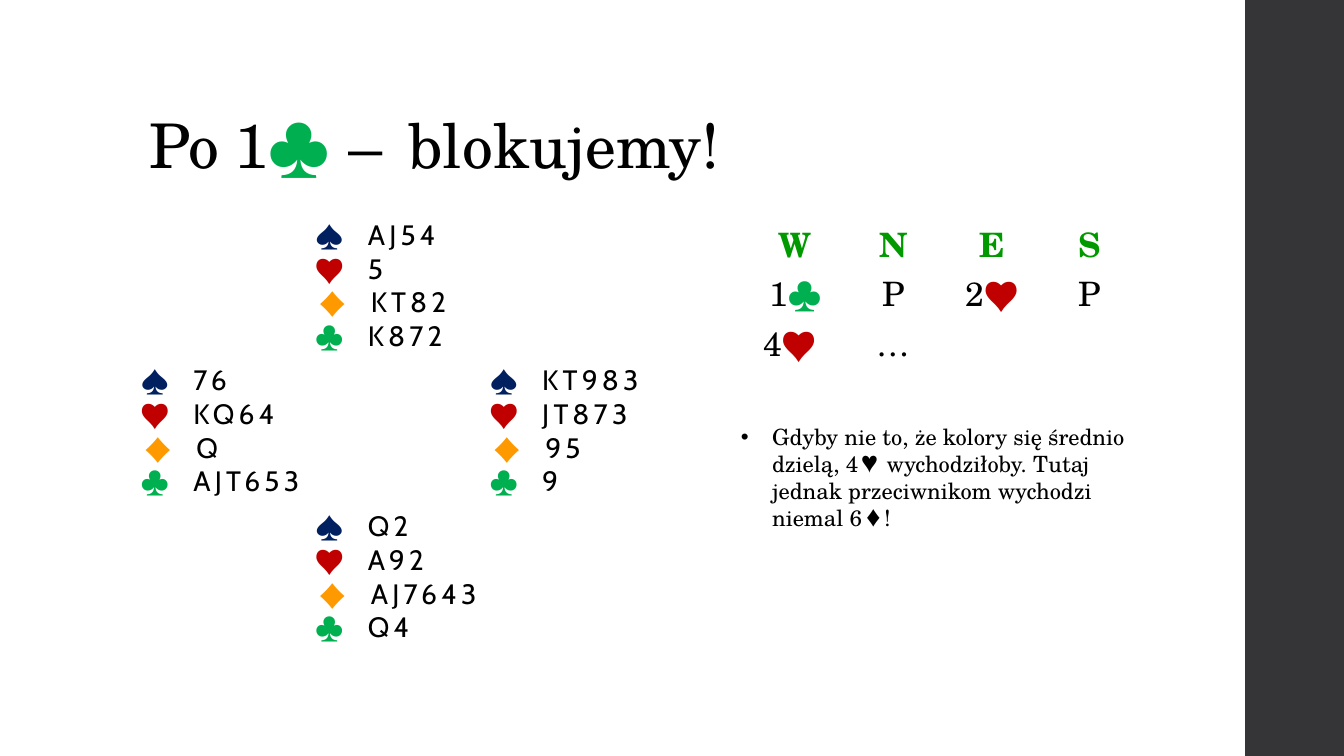
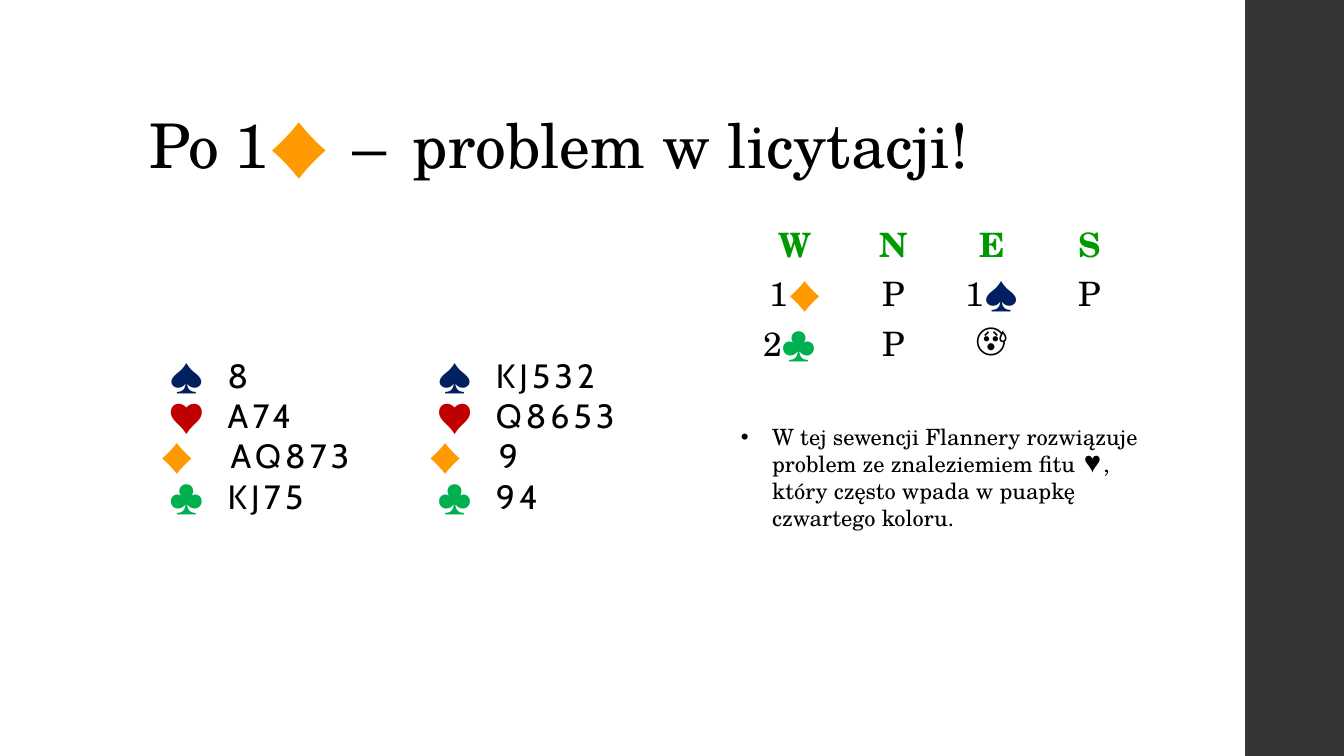
from dataclasses import dataclass
from typing import NamedTuple

from lxml.etree import SubElement
from pptx import Presentation
from pptx.dml.color import RGBColor
from pptx.enum.shapes import MSO_SHAPE
from pptx.enum.text import MSO_ANCHOR, MSO_AUTO_SIZE, PP_ALIGN
from pptx.oxml.ns import qn
from pptx.util import Inches, Pt


@dataclass(frozen=True)
class Theme:
    ink: str = "000000"
    band: str = "353537"
    head: str = "009900"
    serif: str = "TeX Gyre Schola"
    sans: str = "Cabin"
    title: float = 44
    call: float = 24
    note: float = 16
    gap: float = 3


THEME = Theme()
SUITS = {"♠": "002060", "♥": "C00000", "♦": "FF9900", "♣": "00B050"}


class Span(NamedTuple):
    text: str
    face: str = THEME.serif
    hue: str = THEME.ink
    gap: float = 0


class Hand(NamedTuple):
    left: float
    top: float
    cards: tuple[str, ...]


@dataclass(frozen=True)
class Page:
    title: tuple[Span, ...]
    hands: tuple[Hand, ...]
    size: float
    width: float
    calls: tuple[tuple[str, ...], ...]
    note: str
    flush: str = ""  # suit that starts at the left edge


PAGES = (
    Page(
        title=(
            Span("Po 1", gap=-0.5),
            Span("♣", THEME.sans, SUITS["♣"]),
            Span(" ", THEME.sans, SUITS["♣"], THEME.gap),
            Span("– ", gap=THEME.gap),
            Span("blokujemy!"),
        ),
        hands=(
            Hand(2.85, 2.11, ("AJ54", "5", "KT82", "K872")),
            Hand(1.12, 3.55, ("76", "KQ64", "Q", "AJT653")),
            Hand(2.85, 5, ("Q2", "A92", "AJ7643", "Q4")),
            Hand(4.58, 3.55, ("KT983", "JT873", "95", "9")),
        ),
        size=20,
        width=2.2,
        calls=(("1♣", "P", "2♥", "P"), ("4♥ ", "…", "", "")),
        note="Gdyby nie to, że kolory się średnio dzielą, 4♥ wychodziłoby. "
             "Tutaj jednak przeciwnikom wychodzi niemal 6♦!",
    ),
    Page(
        title=(
            Span("Po 1", gap=-0.5),
            Span("♦", THEME.sans, SUITS["♦"], THEME.gap),
            Span(" ", THEME.sans, SUITS["♦"], THEME.gap),
            Span("– ", gap=THEME.gap),
            Span("problem w licytacji!"),
        ),
        hands=(
            Hand(1.46, 3.47, ("8", "A74", "AQ873", "KJ75")),
            Hand(4.12, 3.47, ("KJ532", "Q8653", "9", "94")),
        ),
        size=24,
        width=2.5,
        calls=(("1♦", "P", "1♠", "P"), ("2♣ ", "P", "😰", "")),
        note="W tej sewencji Flannery rozwiązuje problem ze znaleziemiem "
             "fitu ♥, który często wpada w puapkę czwartego koloru.",
        flush="♦",
    ),
)


# Text helpers
def apply(item, form: dict) -> None:
    for name, value in form.items():
        setattr(item, name, value)


def write(para, spans, size: float, bold: bool = False) -> None:
    for span in spans:
        run = para.add_run()
        run.text = span.text
        apply(run.font, {"size": Pt(size), "name": span.face, "bold": bold})
        run.font.color.rgb = RGBColor.from_string(span.hue)
        props = run._r.get_or_add_rPr()
        props.set("spc", str(int(span.gap * 100)))
        for tag in ("a:ea", "a:cs"):
            SubElement(props, qn(tag), typeface=span.face)


def indent(para, **margins: float):
    props = para._p.get_or_add_pPr()
    for name, value in margins.items():
        props.set(name, str(Inches(value)))
    return props


def add_box(slide, left: float, top: float, width: float, height: float):
    box = slide.shapes.add_textbox(
        Inches(left), Inches(top), Inches(width), Inches(height))
    apply(box.text_frame, {
        "word_wrap": True, "auto_size": MSO_AUTO_SIZE.SHAPE_TO_FIT_TEXT})
    return box.text_frame


# Slide parts
def add_band(slide, layout) -> None:
    band = slide.shapes.add_shape(
        MSO_SHAPE.RECTANGLE, Inches(12.35), 0, Inches(0.98), Inches(7.5))
    band.shadow.inherit = False
    band.fill.solid()
    band.fill.fore_color.rgb = RGBColor.from_string(THEME.band)
    band.line.fill.background()
    layout.shapes.element.insert(2, band.element)  # shared by every slide


def add_title(slide, spans: tuple[Span, ...]) -> None:
    title = slide.shapes.title
    apply(title, {"left": Inches(1.38), "top": Inches(0.4),
                  "width": Inches(10.6), "height": Inches(1.45)})
    apply(title.text_frame, {"vertical_anchor": MSO_ANCHOR.BOTTOM,
                             "word_wrap": True,
                             "auto_size": MSO_AUTO_SIZE.NONE})
    para = title.text_frame.paragraphs[0]
    apply(para, {"alignment": PP_ALIGN.LEFT, "line_spacing": 0.9})
    write(para, spans, THEME.title)


def add_hand(slide, hand: Hand, page: Page) -> None:
    height = 0.1 + 4 * page.size * 1.215 / 72
    frame = add_box(slide, hand.left, hand.top, page.width, height)
    for row, (suit, cards) in enumerate(zip(SUITS, hand.cards)):
        para = frame.add_paragraph() if row else frame.paragraphs[0]
        # A first-line indent here would cancel the tab stops
        props = indent(para, marL=0.03) if suit == "♦" else indent(para)
        tabs = SubElement(props, qn("a:tabLst"))
        for stop, side in ((0.5, "r"), (0.7, "l")):
            SubElement(tabs, qn("a:tab"), pos=str(Inches(stop)), algn=side)
        mark = f"{suit}\t\t" if suit == page.flush else f"\t{suit}\t"
        write(para, (Span(mark, THEME.sans, SUITS[suit], THEME.gap),
                     Span(cards, THEME.sans, gap=THEME.gap)), page.size)


def split(call: str) -> list[Span]:
    """Give the suit of a call its own colour."""
    for suit, hue in SUITS.items():
        rank, mark, tail = call.partition(suit)
        if mark:
            return [Span(rank)] + [Span(part, THEME.sans, hue, THEME.gap)
                                   for part in (mark, tail) if part]
    return [Span(call, THEME.sans if call == "😰" else THEME.serif)]


def add_calls(slide, calls: tuple[tuple[str, ...], ...]) -> None:
    rows = [[[Span(seat, hue=THEME.head)] for seat in "WNES"]]
    rows += [[split(call) if call else [] for call in row] for row in calls]
    table = slide.shapes.add_table(
        len(rows), 4, Inches(7.4), Inches(2.11),
        Inches(3.9), Inches(1.23)).table
    apply(table, {"first_row": False, "horz_banding": False})
    for y, row in enumerate(rows):
        for x, spans in enumerate(row):
            cell = table.cell(y, x)
            cell.fill.background()
            cell.vertical_anchor = MSO_ANCHOR.MIDDLE
            para = cell.text_frame.paragraphs[0]
            para.alignment = PP_ALIGN.CENTER
            write(para, spans, THEME.call, bold=y == 0)


def add_note(slide, text: str) -> None:
    para = add_box(slide, 7.25, 4.15, 4.21, 1.18).paragraphs[0]
    props = indent(para, marL=0.31, indent=-0.31)
    SubElement(props, qn("a:buFont"), typeface="Arial")
    SubElement(props, qn("a:buChar"), char="•")
    write(para, [Span(text)], THEME.note)


def main() -> None:
    deck = Presentation()
    apply(deck, {"slide_width": Inches(13.33), "slide_height": Inches(7.5)})
    layout = deck.slide_layouts[5]
    for spot, page in enumerate(PAGES):
        slide = deck.slides.add_slide(layout)
        if spot == 0:
            add_band(slide, layout)
        add_title(slide, page.title)
        for hand in page.hands:
            add_hand(slide, hand, page)
        add_calls(slide, page.calls)
        add_note(slide, page.note)
    deck.save("out.pptx")


if __name__ == "__main__":
    main()
